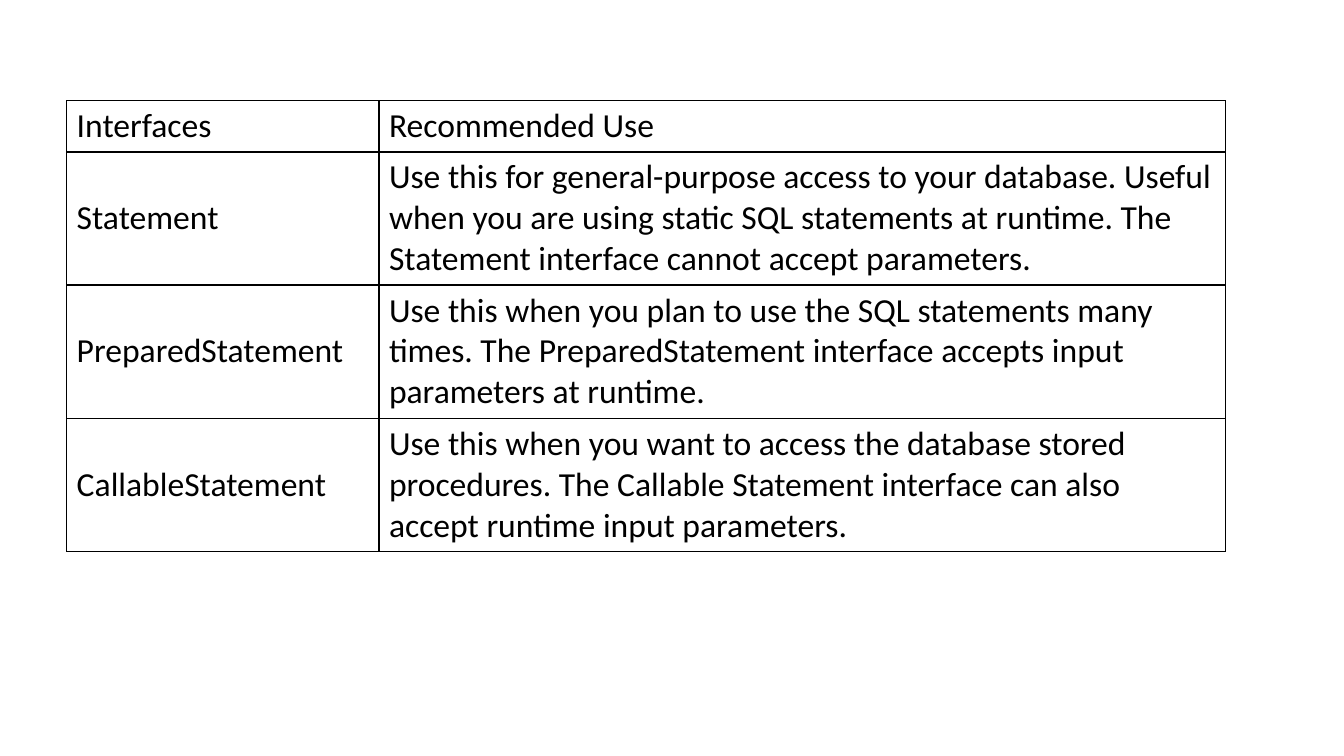
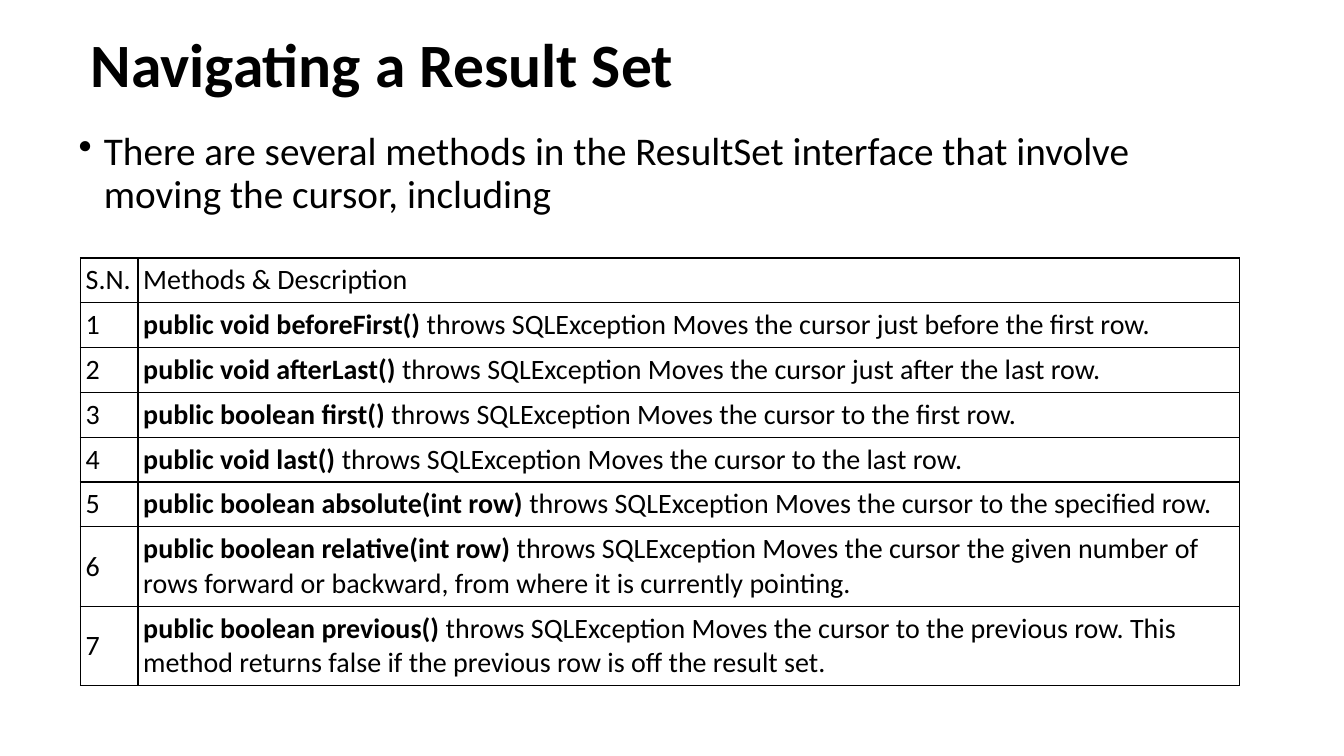
from lxml import etree
from pptx import Presentation
from pptx.dml.color import RGBColor
from pptx.enum.text import MSO_ANCHOR, MSO_AUTO_SIZE, PP_ALIGN
from pptx.oxml.ns import qn
from pptx.util import Cm, Pt

# Shared style
FONT = "Calibri"
INK = "000000"
TITLE_ONLY, BLANK = 5, 6
CONTENT_WIDTH = 29.21

# Content
INTERFACES = [
    ("Interfaces", "Recommended Use"),
    ("Statement",
     "Use this for general-purpose access to your database. Useful when you are "
     "using static SQL statements at runtime. The Statement interface cannot "
     "accept parameters."),
    ("PreparedStatement",
     "Use this when you plan to use the SQL statements many times. The "
     "PreparedStatement interface accepts input parameters at runtime."),
    ("CallableStatement",
     "Use this when you want to access the database stored procedures. The "
     "Callable Statement interface can also accept runtime input parameters."),
]
METHODS = [
    ("void beforeFirst()", "Moves the cursor just before the first row."),
    ("void afterLast()", "Moves the cursor just after the last row."),
    ("boolean first()", "Moves the cursor to the first row."),
    ("void last()", "Moves the cursor to the last row."),
    ("boolean absolute(int row)", "Moves the cursor to the specified row."),
    ("boolean relative(int row)",
     "Moves the cursor the given number of rows forward or backward, from where "
     "it is currently pointing."),
    ("boolean previous()",
     "Moves the cursor to the previous row. This method returns false if the "
     "previous row is off the result set."),
]


def color(hex_string):
    return RGBColor.from_string(hex_string)


def style(para, size, bold=False):
    para.font.name = FONT
    para.font.size = Pt(size)
    para.font.bold = bold
    para.font.color.rgb = color(INK)


def place(shape, left, top, width, height):
    shape.left, shape.top = Cm(left), Cm(top)
    shape.width, shape.height = Cm(width), Cm(height)


def add_title(page, text):
    title = page.shapes.title
    place(title, 2.03, 0.53, CONTENT_WIDTH, 2.34)
    frame = title.text_frame
    frame.text = text
    frame.auto_size = MSO_AUTO_SIZE.NONE
    frame.vertical_anchor = MSO_ANCHOR.MIDDLE
    para = frame.paragraphs[0]
    para.alignment = PP_ALIGN.LEFT
    para.line_spacing = 0.9
    style(para, 44, bold=True)


def add_bullet(page, text, left, top, height):
    box = page.shapes.add_textbox(Cm(left), Cm(top), Cm(CONTENT_WIDTH), Cm(height))
    box.text_frame.word_wrap = True
    para = box.text_frame.paragraphs[0]
    para.text = text
    para.line_spacing = 0.9
    para.space_before = Pt(10)
    style(para, 28)
    # Hanging bullet
    properties = para._p.get_or_add_pPr()
    properties.set("marL", str(Cm(0.64)))
    properties.set("indent", str(Cm(-0.64)))
    bullet = etree.Element(qn("a:buChar"), char="•")
    properties.find(qn("a:defRPr")).addprevious(bullet)


def add_borders(cell):
    properties = cell._tc.get_or_add_tcPr()
    for index, side in enumerate(("lnL", "lnR", "lnT", "lnB")):
        line = etree.Element(qn(f"a:{side}"), w=str(Pt(1)))
        fill = etree.SubElement(line, qn("a:solidFill"))
        etree.SubElement(fill, qn("a:srgbClr"), val=INK)
        properties.insert(index, line)


def fill_cell(cell, spans, size, inset):
    """Write (text, bold) spans into a bordered cell."""
    cell.fill.background()
    cell.vertical_anchor = MSO_ANCHOR.MIDDLE
    if inset is not None:
        cell.margin_left = cell.margin_right = Cm(inset)
        cell.margin_top = cell.margin_bottom = Cm(inset)
    para = cell.text_frame.paragraphs[0]
    style(para, size)
    for text, bold in spans:
        span = para.add_run()
        span.text = text
        if bold:
            span.font.bold = True
    add_borders(cell)


def add_grid(page, rows, left, top, first_width, heights, size, inset=None):
    frame = page.shapes.add_table(len(rows), 2, Cm(left), Cm(top),
                                  Cm(CONTENT_WIDTH), Cm(sum(heights)))
    table = frame.table
    table.first_row = table.horz_banding = False
    for column, width in zip(table.columns,
                             (first_width, CONTENT_WIDTH - first_width)):
        column.width = Cm(width)
    for row, height, values in zip(table.rows, heights, rows):
        row.height = Cm(height)
        for cell, spans in zip(row.cells, values):
            fill_cell(cell, spans, size, inset)


def plain(text):
    return [(text, False)]


def method_rows():
    rows = [(plain("S.N."), plain("Methods & Description"))]
    for number, (signature, effect) in enumerate(METHODS, 1):
        rows.append((plain(str(number)),
                     [(f"public {signature}", True),
                      (f" throws SQLException {effect}", False)]))
    return rows


def main():
    deck = Presentation()
    deck.slide_width, deck.slide_height = Cm(33.87), Cm(19.05)

    # Statement interfaces
    page = deck.slides.add_slide(deck.slide_layouts[BLANK])
    rows = [[plain(text) for text in row] for row in INTERFACES]
    add_grid(page, rows, 1.68, 2.54, 7.87, [1.28] + [3.35] * 3, 24)

    # Result set navigation
    page = deck.slides.add_slide(deck.slide_layouts[TITLE_ONLY])
    add_title(page, "Navigating a Result Set")
    add_bullet(page, "There are several methods in the ResultSet interface that "
               "involve moving the cursor, including", 1.73, 3.2, 2.8)
    add_grid(page, method_rows(), 2.03, 6.5, 1.45,
             [1.13] * 6 + [2] * 2, 20, inset=0.13)

    deck.save("out.pptx")


if __name__ == "__main__":
    main()
